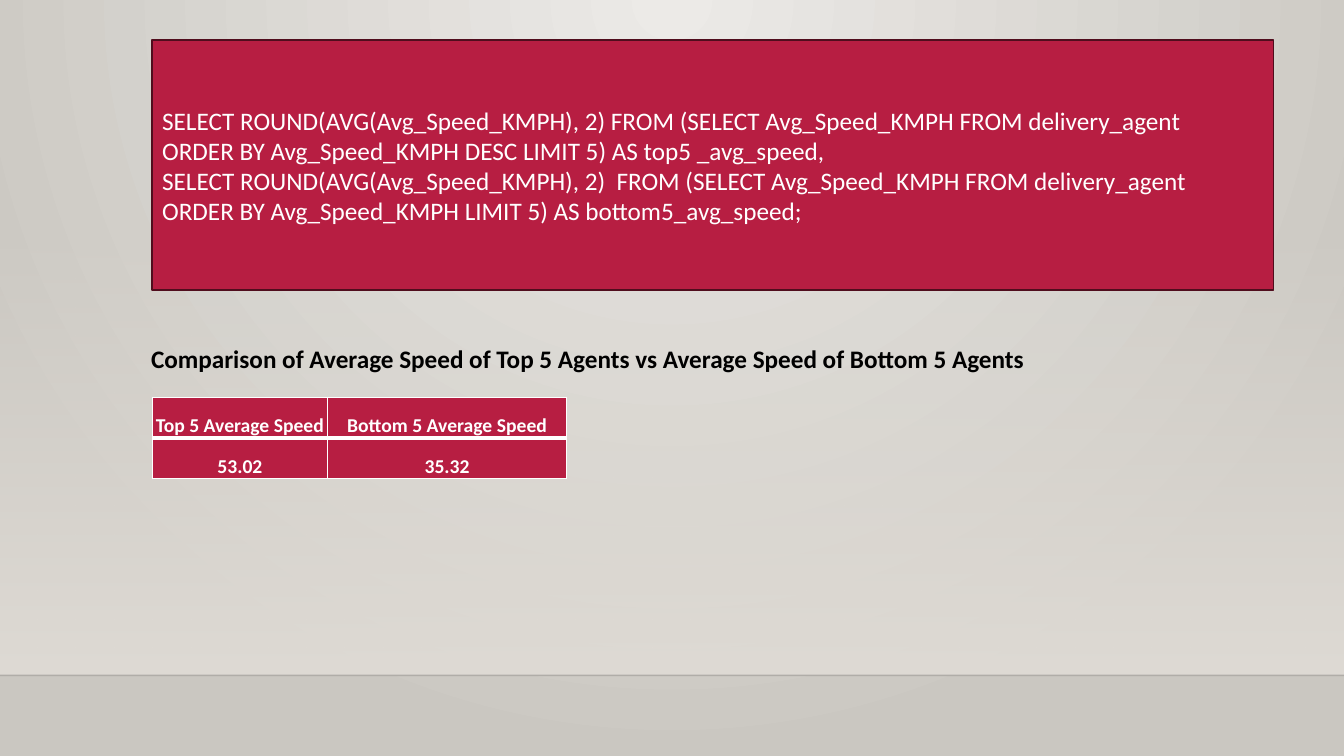
from lxml import etree
from pptx import Presentation
from pptx.dml.color import RGBColor
from pptx.enum.shapes import MSO_CONNECTOR, MSO_SHAPE
from pptx.enum.text import MSO_ANCHOR, MSO_AUTO_SIZE, PP_ALIGN
from pptx.oxml.ns import qn
from pptx.util import Inches, Pt

QUERY = [
    ["SELECT ROUND(AVG(Avg_Speed_KMPH), 2) FROM (SELECT Avg_Speed_KMPH FROM delivery_agent"],
    ["ORDER BY Avg_Speed_KMPH DESC LIMIT 5) AS top5 _avg_speed,"],
    ["SELECT ROUND(AVG(Avg_Speed_KMPH), 2)  FROM (SELECT Avg_Speed_KMPH FROM delivery_agent",
     "ORDER BY Avg_Speed_KMPH LIMIT 5) AS bottom5_avg_speed;"],
]
HEADING = "Comparison of Average Speed of Top 5 Agents vs Average Speed of Bottom 5 Agents"
SPEEDS = [
    ["Top 5 Average Speed", "Bottom 5 Average Speed"],
    ["53.02", "35.32"],
]
COLUMNS = [1.74, 2.37]
ROW = 0.405
WIDTH, HEIGHT = 13.33, 7.5
LEFT = 1.51
FLOOR = 6.7
WALL_TOP = 2.21

FONT = "Calibri"
RED = RGBColor(0xB7, 0x1E, 0x42)
DARK_RED = RGBColor(0x50, 0x0D, 0x1D)
WHITE = RGBColor(0xFF, 0xFF, 0xFF)
BLACK = RGBColor(0, 0, 0)
LIGHT = RGBColor(0xEC, 0xEA, 0xE7)
GREY = RGBColor(0xCA, 0xC7, 0xC1)
WALL = RGBColor(0xDF, 0xDB, 0xD5)
RECT = MSO_SHAPE.RECTANGLE
STRAIGHT = MSO_CONNECTOR.STRAIGHT
MIDDLE, BOTTOM = MSO_ANCHOR.MIDDLE, MSO_ANCHOR.BOTTOM
ALIGN_LEFT, CENTER = PP_ALIGN.LEFT, PP_ALIGN.CENTER
GROW = MSO_AUTO_SIZE.SHAPE_TO_FIT_TEXT


def add(parent, tag, **attrs):
    return etree.SubElement(parent, qn(tag), attrs)


def add_color(parent, color, opacity=100):
    clr = add(parent, "a:srgbClr", val=str(color))
    if opacity < 100:
        add(clr, "a:alpha", val=str(opacity * 1000))


def set_gradient(fill, element, stops):
    fill.gradient()
    grad = element.find(".//" + qn("a:gradFill"))
    for child in list(grad):
        grad.remove(child)
    gs_list = add(grad, "a:gsLst")
    for pos, color, opacity in stops:
        add_color(add(gs_list, "a:gs", pos=str(pos * 1000)), color, opacity)
    return grad


def add_text(p, text, size, color, bold=False):
    r = p.add_run()
    r.text = text
    r.font.name, r.font.size, r.font.bold = FONT, Pt(size), bold
    r.font.color.rgb = color


def add_rect(s, left, top, width, height):
    sp = s.shapes.add_shape(RECT, Inches(left), Inches(top), Inches(width), Inches(height))
    sp.shadow.inherit = False
    return sp


def draw_backdrop(s):
    grad = set_gradient(s.background.fill, s.element, [(0, LIGHT, 100), (100, GREY, 100)])
    circle = add(grad, "a:path", path="circle")
    add(circle, "a:fillToRect", l="43000", t="0", r="43000", b="100000")
    wall = add_rect(s, 0, WALL_TOP, WIDTH, FLOOR - WALL_TOP)
    grad = set_gradient(wall.fill, wall.element, [(0, WALL, 0), (100, WALL, 100)])
    add(grad, "a:lin", ang="5400000", scaled="0")
    wall.line.fill.background()
    edge = s.shapes.add_connector(STRAIGHT, 0, Inches(FLOOR), Inches(WIDTH), Inches(FLOOR))
    edge.line.width = Pt(1)
    edge.line.color.rgb = BLACK
    clr = edge.element.spPr.find(".//" + qn("a:srgbClr"))
    add(clr, "a:alpha", val="20000")
    add(edge.element.spPr, "a:effectLst")


def draw_query(s):
    sp = add_rect(s, LEFT, 0.4, 11.12, 2.48)
    sp.fill.solid()
    sp.fill.fore_color.rgb = RED
    sp.line.color.rgb = DARK_RED
    sp.line.width = Pt(1.25)
    tf = sp.text_frame
    tf.word_wrap = True
    tf.vertical_anchor = MIDDLE
    for i, lines in enumerate(QUERY):
        p = tf.add_paragraph() if i else tf.paragraphs[0]
        p.alignment = ALIGN_LEFT
        for j, line in enumerate(lines):
            if j:
                p.add_line_break()
            add_text(p, line, 18, WHITE)


def set_borders(cell, widths):
    tc_pr = cell._tc.get_or_add_tcPr()
    for i, (side, width) in enumerate(zip("LRTB", widths)):
        ln = etree.Element(qn("a:ln" + side), w=str(Pt(width)))
        add_color(add(ln, "a:solidFill"), WHITE)
        tc_pr.insert(i, ln)


def draw_speeds(s):
    table = s.shapes.add_table(len(SPEEDS), len(COLUMNS), Inches(LEFT), Inches(3.94),
                               Inches(sum(COLUMNS)), Inches(ROW * len(SPEEDS))).table
    for column, width in zip(table.columns, COLUMNS):
        column.width = Inches(width)
    for i, values in enumerate(SPEEDS):
        table.rows[i].height = Inches(ROW)
        for j, value in enumerate(values):
            cell = table.cell(i, j)
            cell.fill.solid()
            cell.fill.fore_color.rgb = RED
            cell.margin_left = cell.margin_right = cell.margin_top = Inches(0.01)
            cell.margin_bottom = 0
            cell.vertical_anchor = BOTTOM
            p = cell.text_frame.paragraphs[0]
            p.alignment = CENTER
            add_text(p, value, 14, WHITE, True)
            set_borders(cell, (1, 1, 1 if i == 0 else 3, 3 if i == 0 else 1))


def draw_heading(s):
    box = s.shapes.add_textbox(Inches(1.4), Inches(3.36), Inches(9), Inches(0.4))
    tf = box.text_frame
    tf.word_wrap = False
    tf.auto_size = GROW
    add_text(tf.paragraphs[0], HEADING, 18, BLACK, True)


def main():
    prs = Presentation()
    prs.slide_width, prs.slide_height = Inches(WIDTH), Inches(HEIGHT)
    s = prs.slides.add_slide(prs.slide_layouts[6])
    draw_backdrop(s)
    draw_query(s)
    draw_speeds(s)
    draw_heading(s)
    prs.save("out.pptx")


if __name__ == "__main__":
    main()
